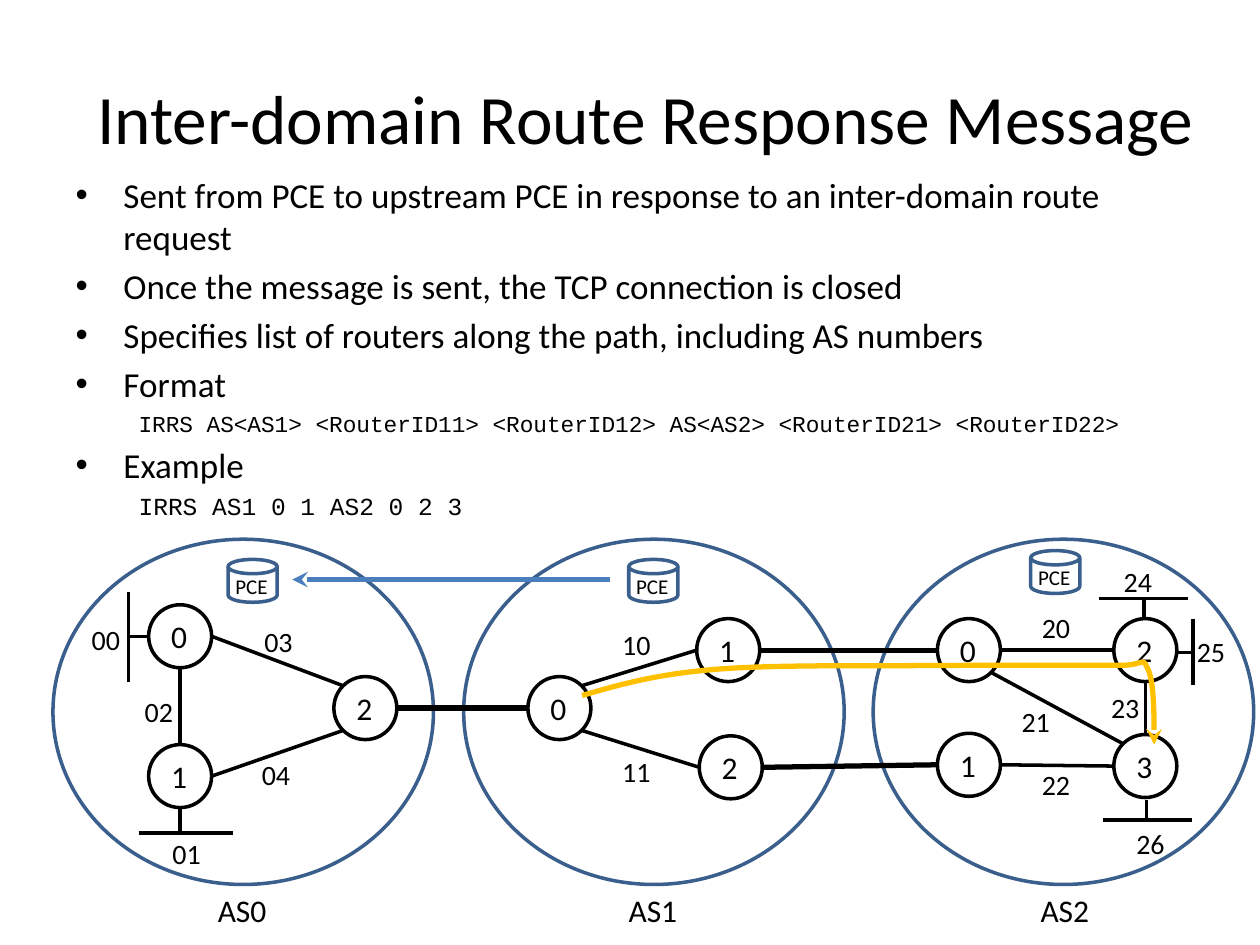
"""Builds the slide on the inter-domain route response message."""
from lxml import etree
from pptx import Presentation
from pptx.dml.color import RGBColor
from pptx.enum.shapes import MSO_CONNECTOR, MSO_SHAPE
from pptx.enum.text import MSO_ANCHOR, MSO_AUTO_SIZE, PP_ALIGN
from pptx.oxml.ns import qn
from pptx.util import Inches, Pt

OVAL, DISK = MSO_SHAPE.OVAL, MSO_SHAPE.FLOWCHART_MAGNETIC_DISK
STRAIGHT = MSO_CONNECTOR.STRAIGHT
FIT, FIXED = MSO_AUTO_SIZE.SHAPE_TO_FIT_TEXT, MSO_AUTO_SIZE.NONE
COLORS = {"black": "000000", "white": "FFFFFF", "domain": "3A5F8C",
          "message": "4B7EBC", "route": "FFC000"}
SANS, MONO = "Calibri", "Courier New"

TITLE = "Inter-domain Route Response Message"
BODY = [
    (0, 20, "Sent from PCE to upstream PCE in response to an inter-domain route request"),
    (0, 20, "Once the message is sent, the TCP connection is closed"),
    (0, 20, "Specifies list of routers along the path, including AS numbers"),
    (0, 20, "Format"),
    (1, 13, "IRRS AS<AS1> <RouterID11> <RouterID12> AS<AS2> <RouterID21> <RouterID22>"),
    (0, 20, "Example"),
    (1, 14, "IRRS AS1 0 1 AS2 0 2 3"),
]
DOMAINS = [("AS0", 0.42, 1.63), ("AS1", 3.68, 4.89), ("AS2", 6.93, 8.16)]
DOMAIN_TOP, DOMAIN_W, DOMAIN_H = 4.28, 3.02, 2.74
PCES = [(1.81, 4.44), (4.99, 4.44), (8.18, 4.37)]
ROUTER = 0.5
ROUTERS = {
    "0.0": (1.18, 4.8), "0.1": (1.18, 5.91), "0.2": (2.65, 5.37),
    "1.0": (4.19, 5.37), "1.1": (5.53, 4.91), "1.2": (5.55, 5.84),
    "2.0": (7.44, 4.91), "2.1": (7.44, 5.82), "2.2": (8.84, 4.91), "2.3": (8.84, 5.83),
}
SIDES = {"n": (0, -1), "s": (0, 1), "e": (1, 0), "w": (-1, 0),
         "nw": (-0.71, -0.71), "sw": (-0.71, 0.71), "se": (0.71, 0.71)}
LINKS = [
    ("0.2", "e", "1.0", "w", 3), ("1.1", "e", "2.0", "w", 3), ("1.2", "e", "2.1", "w", 3),
    ("0.0", "e", "0.2", "nw", 2), ("0.1", "e", "0.2", "sw", 2), ("0.0", "s", "0.1", "n", 2),
    ("1.1", "w", "1.0", "nw", 2), ("1.0", "sw", "1.2", "w", 2),
    ("2.0", "e", "2.2", "w", 2), ("2.1", "e", "2.3", "w", 2),
    ("2.2", "s", "2.3", "n", 2), ("2.0", "se", "2.3", "nw", 2),
]
LINKS = [(a, {"1.0": "ne"}.get(a, i) if i == "nw" else i, b, j, w) for a, i, b, j, w in LINKS]
SIDES["ne"] = (0.71, -0.71)
LINKS = [(a, "se" if (a, i) == ("1.0", "sw") else i,
          b, "ne" if (b, j) == ("1.0", "nw") else j, w) for a, i, b, j, w in LINKS]
STUBS = [
    (1.18, 5.05, 1.02, 5.05), (1.02, 4.7, 1.02, 5.41),
    (1.43, 6.41, 1.43, 6.61), (1.1, 6.61, 1.85, 6.61),
    (9.1, 6.35, 9.1, 6.51), (8.75, 6.51, 9.46, 6.51),
    (9.34, 5.18, 9.47, 5.18), (9.47, 4.91, 9.47, 5.44),
    (9.08, 4.91, 9.08, 4.75), (9.43, 4.75, 8.72, 4.75),
]
LINK_IDS = {
    "00": (0.63, 4.89), "01": (1.27, 6.59), "02": (1.05, 5.46), "03": (2, 4.91),
    "04": (1.98, 5.96), "10": (4.84, 4.93), "11": (4.84, 5.94), "20": (8.17, 4.8),
    "21": (8.01, 5.54), "22": (8.17, 6.04), "23": (8.72, 5.43), "24": (8.82, 4.43),
    "25": (9.4, 4.99), "26": (8.92, 6.51),
}
ROUTE_START = (4.62, 5.52)
ROUTE = [
    ((4.9, 5.44), (5.19, 5.35), (5.71, 5.31)), ((6.22, 5.27), (7.2, 5.29), (7.73, 5.28)),
    ((8.25, 5.28), (8.63, 5.28), (8.86, 5.28)), ((9.09, 5.29), (9.06, 5.2), (9.11, 5.31)),
    ((9.16, 5.41), (9.16, 5.66), (9.16, 5.91)),
]
STEPS = 12


def rgb(name):
    return RGBColor.from_string(COLORS[name])


def style_font(r, size, name=SANS):
    for key, value in {"size": Pt(size), "name": name}.items():
        setattr(r.font, key, value)
    r.font.color.rgb = rgb("black")


def place(sp, x, y, w, h):
    for key, value in zip(("left", "top", "width", "height"), (x, y, w, h)):
        setattr(sp, key, Inches(value))


def style_line(sp, color, width, arrow=False):
    sp.line.color.rgb = rgb(color)
    sp.line.width = Pt(width)
    if arrow:
        etree.SubElement(sp.line._get_or_add_ln(), qn("a:tailEnd"), type="stealth")


def add_outline(kind, x, y, w, h, color, fill=None):
    sp = s.shapes.add_shape(kind, *map(Inches, (x, y, w, h)))
    sp.shadow.inherit = False
    if fill:
        sp.fill.solid()
        sp.fill.fore_color.rgb = rgb(fill)
    else:
        sp.fill.background()
    style_line(sp, color, 2)


def add_label(text, x, y, w, h, size):
    tf = s.shapes.add_textbox(*map(Inches, (x, y, w, h))).text_frame
    tf.word_wrap, tf.auto_size = False, FIT
    r = tf.paragraphs[0].add_run()
    r.text = text
    style_font(r, size)


def add_line(x1, y1, x2, y2, width, color="black", arrow=False):
    cx = s.shapes.add_connector(STRAIGHT, *map(Inches, (x1, y1, x2, y2)))
    style_line(cx, color, width, arrow)
    etree.SubElement(cx._element.spPr, qn("a:effectLst"))


def edge(router, side):
    return [c + ROUTER / 2 * (1 + d) for c, d in zip(ROUTERS[router], SIDES[side])]


def bezier(points, t):
    weights = ((1 - t) ** 3, 3 * t * (1 - t) ** 2, 3 * t * t * (1 - t), t ** 3)
    return tuple(Inches(sum(w * p[i] for w, p in zip(weights, points))) for i in (0, 1))


prs = Presentation()
prs.slide_width, prs.slide_height = Inches(10), Inches(7.5)
s = prs.slides.add_slide(prs.slide_layouts[1])

title, body = s.shapes.title, s.placeholders[1]
place(title, 0.5, 0.3, 9.25, 1.25)
tf = title.text_frame
tf.auto_size, tf.vertical_anchor = FIXED, MSO_ANCHOR.MIDDLE
p = tf.paragraphs[0]
p.alignment = PP_ALIGN.CENTER
r = p.add_run()
r.text = TITLE
style_font(r, 39.6)

place(body, 0.5, 1.33, 9, 2.75)
tf = body.text_frame
tf.auto_size = FIXED
for i, (level, size, text) in enumerate(BODY):
    p = tf.add_paragraph() if i else tf.paragraphs[0]
    p.level = level
    pPr = p._p.get_or_add_pPr()
    margin, indent = ((0.38, -0.38), (0.5, 0))[level]
    pPr.set("marL", str(Inches(margin)))
    pPr.set("indent", str(Inches(indent)))
    if level:
        etree.SubElement(pPr, qn("a:buNone"))
    r = p.add_run()
    r.text = text
    style_font(r, size, MONO if level else SANS)

for name, x, label_x in DOMAINS:
    add_outline(OVAL, x, DOMAIN_TOP, DOMAIN_W, DOMAIN_H, "domain")
    add_label(name, label_x, DOMAIN_TOP + DOMAIN_H, 0.59, 0.4, 18)
for a, side_a, b, side_b, width in LINKS:
    add_line(*edge(a, side_a), *edge(b, side_b), width)
for stub in STUBS:
    add_line(*stub, 2)
for name, (x, y) in ROUTERS.items():
    add_outline(OVAL, x, y, ROUTER, ROUTER, "black")
    add_label(name[-1], x + 0.08, y + 0.05, 0.33, 0.4, 18)
for name, (x, y) in LINK_IDS.items():
    add_label(name, x, y, 0.43, 0.37, 16)
for x, y in PCES:
    add_outline(DISK, x, y, 0.39, 0.34, "domain", "white")
    add_label("PCE", x - 0.04, y + 0.06, 0.46, 0.3, 12)
add_line(4.84, 4.6, 2.32, 4.6, 3, "message", True)

starts = [ROUTE_START] + [curve[-1] for curve in ROUTE]
points = [bezier((start, *curve), n / STEPS)
          for start, curve in zip(starts, ROUTE) for n in range(1, STEPS + 1)]
builder = s.shapes.build_freeform(*map(Inches, ROUTE_START))
builder.add_line_segments(points, close=False)
route = builder.convert_to_shape()
route.shadow.inherit = False
route.fill.background()
style_line(route, "route", 3, True)

prs.save("out.pptx")
